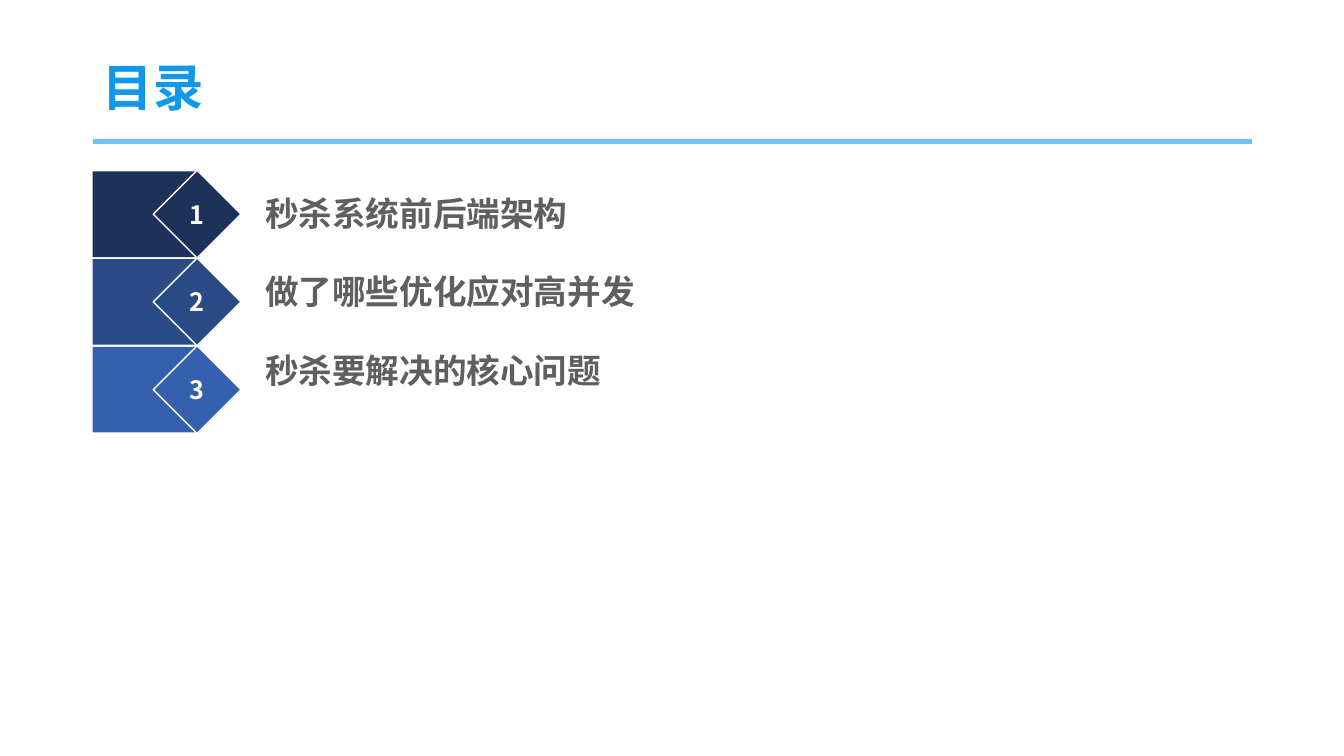
from lxml import etree
from pptx import Presentation
from pptx.dml.color import RGBColor
from pptx.enum.shapes import MSO_CONNECTOR, MSO_SHAPE
from pptx.enum.text import MSO_ANCHOR, PP_ALIGN
from pptx.oxml.ns import qn
from pptx.util import Inches, Pt

FONT = "Noto Sans CJK SC"
HEADING = "目录"
CHAPTERS = [
    ("秒杀系统前后端架构", "1D3259"),
    ("做了哪些优化应对高并发", "2A4B86"),
    ("秒杀要解决的核心问题", "3560AD"),
]
LEFT, WIDTH = 0.92, 11.5
MARKER_LEFT, MARKER_TOP, MARKER_SIZE = 1.52, 1.69, 0.87
BAND_WIDTH, BAND_HEIGHT = 1.06, 0.85


def color(hex_code):
    return RGBColor.from_string(hex_code)


def style(paragraph, size, hex_code, spacing=1.0):
    paragraph.line_spacing = spacing
    for run in paragraph.runs:
        run.font.size = Pt(size)
        run.font.bold = True
        run.font.name = FONT
        run.font.color.rgb = color(hex_code)
        east_asian = etree.SubElement(run.font._element, qn("a:ea"))
        east_asian.set("typeface", FONT)


def add_text(slide, left, top, width, height, anchor):
    frame = slide.shapes.add_textbox(
        Inches(left), Inches(top), Inches(width), Inches(height)).text_frame
    frame.word_wrap = True
    frame.vertical_anchor = anchor
    return frame


def add_block(slide, preset, left, top, width, height, fill):
    block = slide.shapes.add_shape(
        preset, Inches(left), Inches(top), Inches(width), Inches(height))
    block.shadow.inherit = False
    block.fill.solid()
    block.fill.fore_color.rgb = color(fill)
    block.line.fill.background()
    return block


def add_marker(slide, number, fill):
    """Add a numbered diamond over its colour band."""
    top = MARKER_TOP + (number - 1) * MARKER_SIZE
    add_block(slide, MSO_SHAPE.RECTANGLE, LEFT, top + 0.01,
              BAND_WIDTH, BAND_HEIGHT, fill)
    diamond = add_block(slide, MSO_SHAPE.DIAMOND, MARKER_LEFT, top,
                        MARKER_SIZE, MARKER_SIZE, fill)
    diamond.line.color.rgb = color("FFFFFF")
    diamond.line.width = Pt(1)
    frame = diamond.text_frame
    frame.margin_left = frame.margin_right = 0
    frame.margin_top = frame.margin_bottom = 0
    frame.vertical_anchor = MSO_ANCHOR.MIDDLE
    frame.text = str(number)
    frame.paragraphs[0].alignment = PP_ALIGN.CENTER
    style(frame.paragraphs[0], 18, "FFFFFF")


def main():
    deck = Presentation()
    deck.slide_width, deck.slide_height = Inches(13.33), Inches(7.5)
    slide = deck.slides.add_slide(deck.slide_layouts[6])

    rule = slide.shapes.add_connector(
        MSO_CONNECTOR.STRAIGHT, Inches(LEFT), Inches(1.4),
        Inches(LEFT + WIDTH), Inches(1.4))
    rule.line.color.rgb = color("6FC2F5")
    rule.line.width = Pt(3.5)
    etree.SubElement(rule._element.spPr, qn("a:effectLst"))

    heading = add_text(slide, LEFT, 0.4, WIDTH, 1, MSO_ANCHOR.MIDDLE)
    heading.text = HEADING
    style(heading.paragraphs[0], 36, "1198EB", 0.9)

    contents = add_text(slide, 2.53, 1.83, 9.81, 4.93, MSO_ANCHOR.TOP)
    contents.text = "\n".join(chapter for chapter, _ in CHAPTERS)
    for index, entry in enumerate(contents.paragraphs):
        style(entry, 24, "5F5F5F", 1.08)
        entry.space_before = Pt(25 if index else 0)

    for number, (_, fill) in enumerate(CHAPTERS, 1):
        add_marker(slide, number, fill)

    deck.save("out.pptx")


if __name__ == "__main__":
    main()
